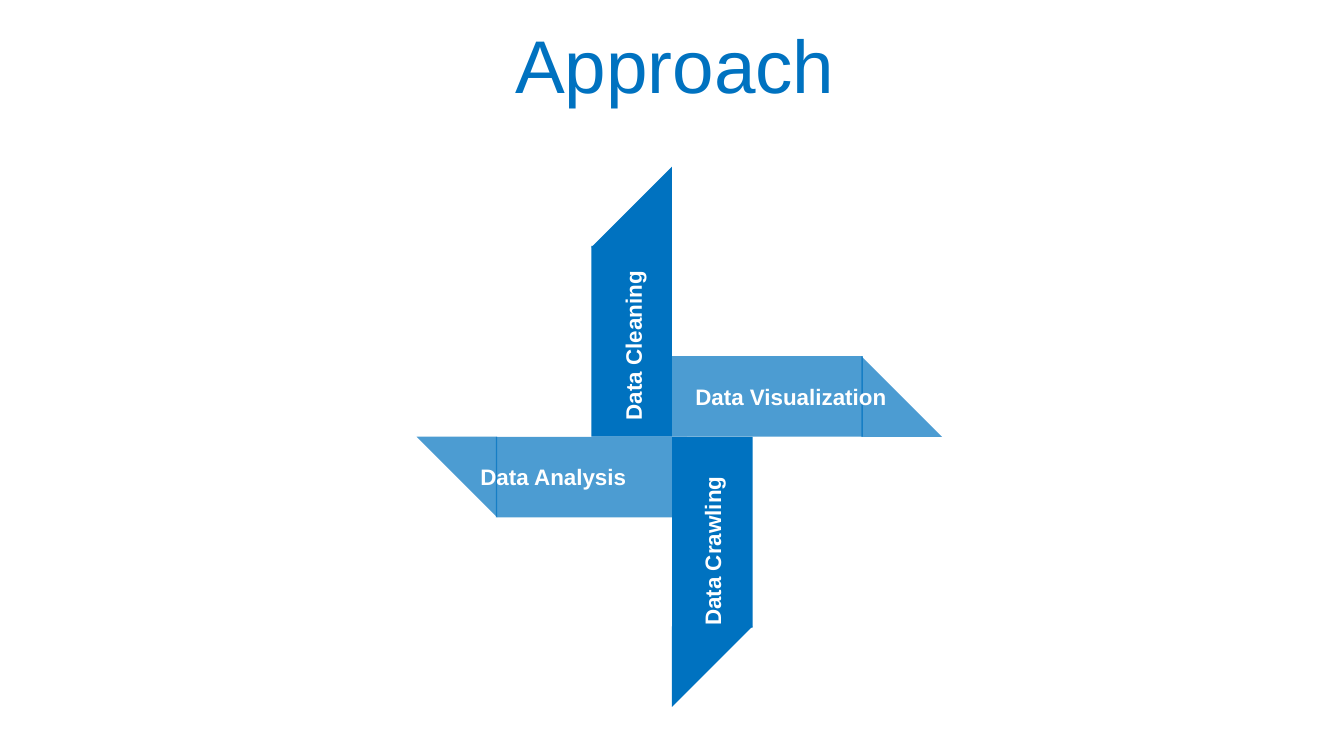
from dataclasses import dataclass

from lxml import etree
from pptx import Presentation
from pptx import util as u
from pptx.dml.color import RGBColor
from pptx.enum import shapes, text
from pptx.oxml.ns import qn


@dataclass(frozen=True)
class Theme:
    font: str = "Arial"
    blue: RGBColor = RGBColor(0x00, 0x72, 0xC0)
    white: RGBColor = RGBColor(0xFF, 0xFF, 0xFF)
    title_size: int = 40
    label_size: int = 12
    light_opacity: int = 70


THEME = Theme()
WIDTH = 10
HEIGHT = WIDTH * 9 / 16
BLADE_WIDTH, BODY_LENGTH = 0.6, 1.42
TIP_OFFSET = 1.71  # hub to the middle of the tip

# Quarter turns, opacity, inward shift towards the hub
BLADES = [(0, 100, 0), (1, THEME.light_opacity, 0), (2, 100, 0), (3, THEME.light_opacity, 0.11)]

# Label, offset of its middle from the hub, width, height, rotation
LABELS = [
    ("Data Visualization", (0.91, -0.24), 1.67, 0.42, 0),
    ("Data Cleaning", (-0.29, -0.78), 1.51, 0.3, 270),
    ("Data Crawling", (0.3, 0.75), 1.51, 0.3, 270),
    ("Data Analysis", (-0.77, 0.3), 1.51, 0.3, 0),
]


def centred_box(center, width, height):
    x, y = center
    return [u.Inches(value) for value in (x - width / 2, y - height / 2, width, height)]


def style_font(font, size, color, bold=False):
    font.name, font.size, font.bold = THEME.font, u.Pt(size), bold
    font.color.rgb = color


def turned(offset, turns):
    """Rotate an offset clockwise by quarter turns."""
    x, y = offset
    for _ in range(turns):
        x, y = -y, x
    return x, y


def add_blade_part(group, kind, center, length, turns, opacity):
    shape = group.shapes.add_shape(kind, *centred_box(center, BLADE_WIDTH, length))
    shape.rotation = 90 * turns
    shape.shadow.inherit = False
    shape.line.fill.background()
    shape.fill.solid()
    shape.fill.fore_color.rgb = THEME.blue
    if opacity < 100:
        color = shape.fill._xPr.find(qn("a:solidFill"))[0]
        etree.SubElement(color, qn("a:alpha"), val=str(opacity * 1000))
    return shape


def add_blade(slide, hub, turns, opacity, shift):
    group = slide.shapes.add_group_shape()
    parts = [
        (shapes.MSO_SHAPE.RECTANGLE, BODY_LENGTH / 2 - shift, BODY_LENGTH),
        (shapes.MSO_SHAPE.RIGHT_TRIANGLE, TIP_OFFSET - shift, BLADE_WIDTH),
    ]
    for kind, distance, length in parts:
        x, y = turned((-BLADE_WIDTH / 2, -distance), turns)
        shape = add_blade_part(group, kind, (hub[0] + x, hub[1] + y), length, turns, opacity)
        if kind == shapes.MSO_SHAPE.RIGHT_TRIANGLE:
            shape._element.spPr.xfrm.set("flipH", "1")


def add_label(slide, label, center, width, height, rotation):
    box = slide.shapes.add_textbox(*centred_box(center, width, height))
    box.rotation = rotation
    box.text_frame.word_wrap = True
    paragraph = box.text_frame.paragraphs[0]
    paragraph.text = label
    style_font(paragraph.font, THEME.label_size, THEME.white, bold=True)


def add_pinwheel(slide, hub):
    for blade in BLADES:
        add_blade(slide, hub, *blade)
    for label, (x, y), width, height, rotation in LABELS:
        add_label(slide, label, (hub[0] + x, hub[1] + y), width, height, rotation)


def place_title(slide, box, words):
    title = slide.shapes.title
    title.left, title.top, title.width, title.height = [u.Inches(value) for value in box]
    frame = title.text_frame
    frame.text = words
    frame.word_wrap = True
    frame.auto_size = text.MSO_AUTO_SIZE.NONE
    frame.vertical_anchor = text.MSO_ANCHOR.MIDDLE
    frame.margin_left = frame.margin_right = u.Inches(0.1)
    frame.margin_top = frame.margin_bottom = u.Inches(0.1)
    paragraph = frame.paragraphs[0]
    paragraph.alignment = text.PP_ALIGN.CENTER
    style_font(paragraph.font, THEME.title_size, THEME.blue)


def main():
    presentation = Presentation()
    presentation.slide_width, presentation.slide_height = u.Inches(WIDTH), u.Inches(HEIGHT)
    slide = presentation.slides.add_slide(presentation.slide_layouts.get_by_name("Title Only"))
    add_pinwheel(slide, hub=(WIDTH / 2, 3.25))
    place_title(slide, (0, 0.13, 10.04, 0.69), "Approach")
    presentation.save("out.pptx")


if __name__ == "__main__":
    main()
